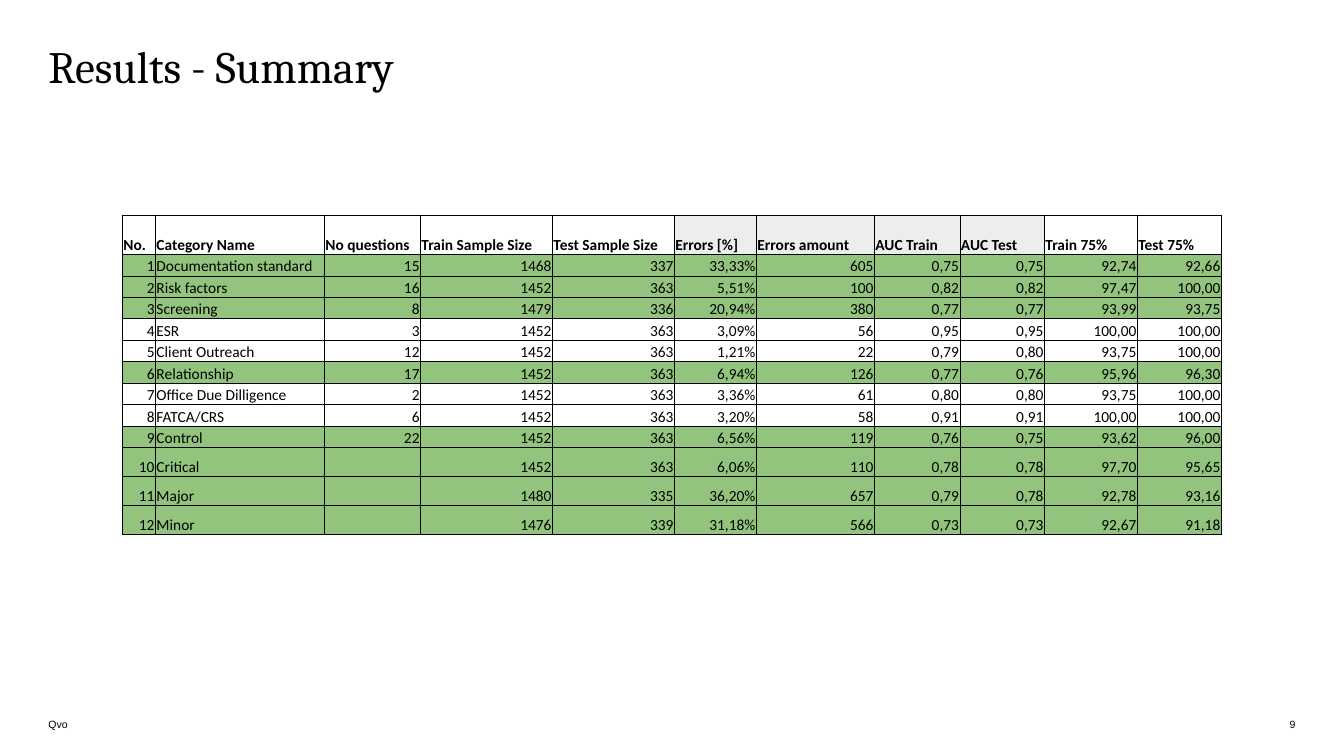
from lxml.etree import SubElement as sub
from pptx import Presentation
from pptx.dml.color import RGBColor
from pptx.enum.text import MSO_ANCHOR as Anchor, PP_ALIGN as Align
from pptx.oxml.ns import qn
from pptx.util import Pt

# Content
TITLE = "Results - Summary"
FIRM = "Qvo"
PAGE = "9"
HEAD = ["No.", "Category Name", "No questions", "Train Sample Size",
        "Test Sample Size", "Errors [%]", "Errors amount", "AUC Train",
        "AUC Test", "Train 75%", "Test 75%"]
ROWS = [
    ("Documentation standard", "15", "1468", "337", "33,33%", "605", "0,75", "0,75", "92,74", "92,66"),
    ("Risk factors", "16", "1452", "363", "5,51%", "100", "0,82", "0,82", "97,47", "100,00"),
    ("Screening", "8", "1479", "336", "20,94%", "380", "0,77", "0,77", "93,99", "93,75"),
    ("ESR", "3", "1452", "363", "3,09%", "56", "0,95", "0,95", "100,00", "100,00"),
    ("Client Outreach", "12", "1452", "363", "1,21%", "22", "0,79", "0,80", "93,75", "100,00"),
    ("Relationship", "17", "1452", "363", "6,94%", "126", "0,77", "0,76", "95,96", "96,30"),
    ("Office Due Dilligence", "2", "1452", "363", "3,36%", "61", "0,80", "0,80", "93,75", "100,00"),
    ("FATCA/CRS", "6", "1452", "363", "3,20%", "58", "0,91", "0,91", "100,00", "100,00"),
    ("Control", "22", "1452", "363", "6,56%", "119", "0,76", "0,75", "93,62", "96,00"),
    ("Critical", "", "1452", "363", "6,06%", "110", "0,78", "0,78", "97,70", "95,65"),
    ("Major", "", "1480", "335", "36,20%", "657", "0,79", "0,78", "92,78", "93,16"),
    ("Minor", "", "1476", "339", "31,18%", "566", "0,73", "0,73", "92,67", "91,18"),
]

# Sizes and colours
WIDTHS = [23.6, 120.7, 68.6, 94.3, 87.1, 58.6, 84.3, 61.1, 60.4, 66.4, 60]
HEAD_H, ROW_H, TALL_H = 28.2, 15.35, 20.75
LEFT, TOP = 87.5, 153.6
LIMIT = 5  # error rate in percent above which a row is green
INK, GREEN, GREY = "000000", "93C47D", "EDEDED"


def color(code):
    return RGBColor.from_string(code)


def style(par, size, face, bold=False, align=Align.LEFT):
    par.alignment = align
    for run in par.runs:
        font = run.font
        font.size, font.name, font.bold = Pt(size), face, bold
        font.color.rgb = color(INK)


def label(slide, text, box, size, face, align=Align.LEFT, anchor=Anchor.BOTTOM):
    frame = slide.shapes.add_textbox(*map(Pt, box)).text_frame
    frame.margin_left = frame.margin_right = 0
    frame.margin_top = frame.margin_bottom = 0
    frame.word_wrap = True
    frame.vertical_anchor = anchor
    frame.text = text
    style(frame.paragraphs[0], size, face, align=align)
    return frame.paragraphs[0]


def border(cell):
    props = cell._tc.get_or_add_tcPr()
    for side in ("lnL", "lnR", "lnT", "lnB"):
        line = sub(props, qn("a:" + side), w=str(Pt(0.75)))
        sub(sub(line, qn("a:solidFill")), qn("a:srgbClr"), val=INK)


def write(cell, text, fill, bold, align):
    cell.margin_left = cell.margin_right = cell.margin_top = Pt(0.7)
    cell.margin_bottom = 0
    cell.vertical_anchor = Anchor.BOTTOM
    border(cell)
    if fill:
        cell.fill.solid()
        cell.fill.fore_color.rgb = color(fill)
    else:
        cell.fill.background()
    par = cell.text_frame.paragraphs[0]
    par.text = text
    style(par, 11, "Calibri", bold, align)
    if not text:
        sub(par._p, qn("a:endParaRPr"), sz="1100")


def tint(row, name):
    if row is HEAD:
        return GREY if name.startswith(("Errors", "AUC")) else None
    rate = float(row[HEAD.index("Errors [%]")].rstrip("%").replace(",", "."))
    return GREEN if rate > LIMIT else None


def grid(slide):
    rows = [HEAD] + [(str(n), *row) for n, row in enumerate(ROWS, 1)]
    highs = [HEAD_H] + [ROW_H if row[1] else TALL_H for row in ROWS]
    box = LEFT, TOP, sum(WIDTHS), sum(highs)
    table = slide.shapes.add_table(len(rows), len(HEAD), *map(Pt, box)).table
    table.first_row = table.horz_banding = False
    for col, width in zip(table.columns, WIDTHS):
        col.width = Pt(width)
    for r, (row, high) in enumerate(zip(rows, highs)):
        table.rows[r].height = Pt(high)
        for c, (name, text) in enumerate(zip(HEAD, row)):
            left = row is HEAD or name == "Category Name"
            write(table.cell(r, c), text, tint(row, name), row is HEAD,
                  Align.LEFT if left else Align.RIGHT)


def main():
    deck = Presentation()
    deck.slide_width, deck.slide_height = Pt(960), Pt(540)
    slide = deck.slides.add_slide(deck.slide_layouts[6])

    # Title, table, footer
    title = label(slide, TITLE, (34.6, 33.8, 890, 39.6), 32, "Cambria",
                  anchor=Anchor.TOP)
    title.line_spacing = 0.85
    grid(slide)
    label(slide, FIRM, (34.6, 511.2, 431, 10.8), 7.5, "Arial")
    label(slide, PAGE, (647.3, 511.2, 278, 10.8), 7.5, "Arial", Align.RIGHT)
    deck.save("out.pptx")


if __name__ == "__main__":
    main()
